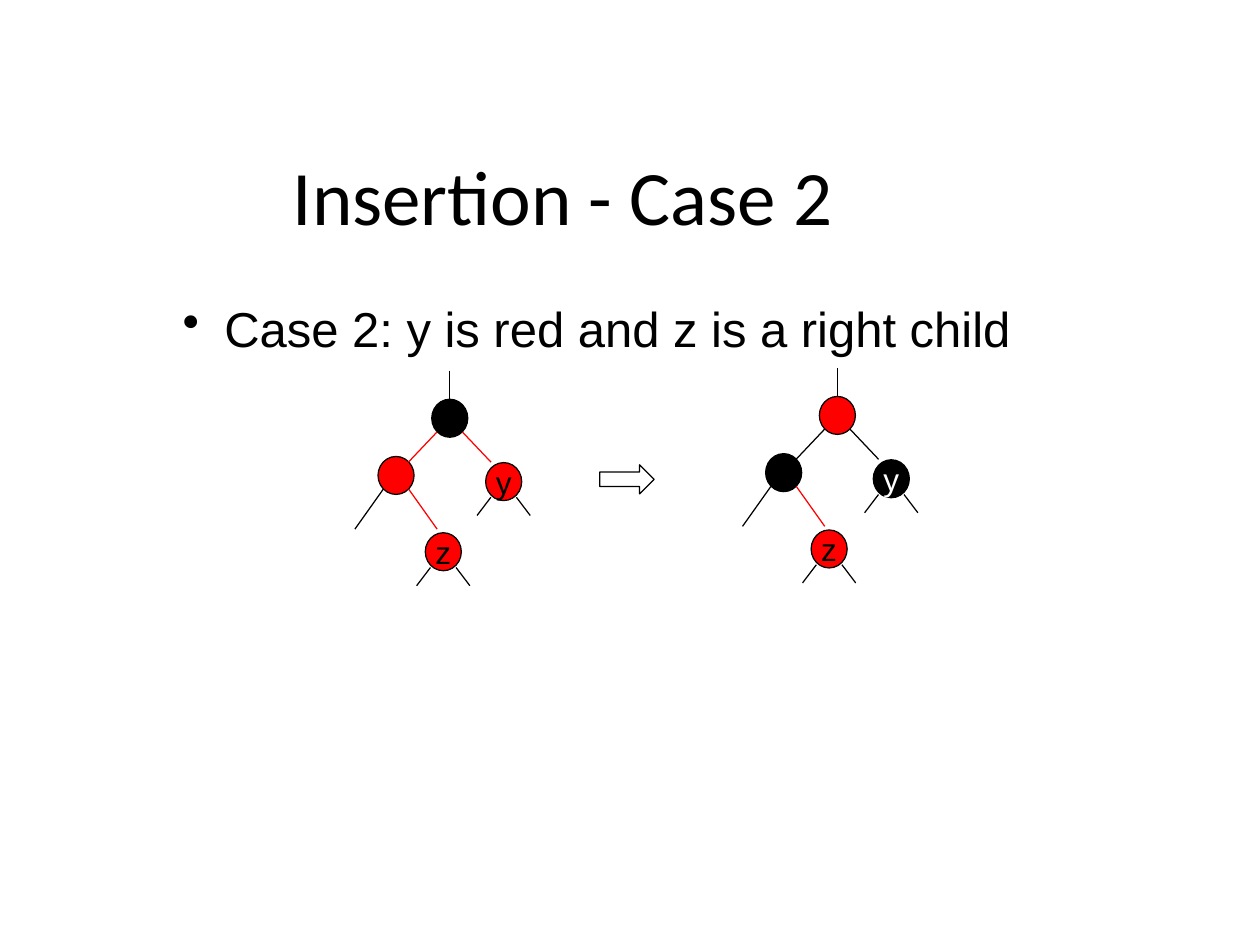
"""Build a slide on the second case of red-black tree insertion."""
from dataclasses import dataclass

from lxml.etree import SubElement
from pptx import Presentation
from pptx.dml.color import RGBColor
from pptx.enum.shapes import MSO_CONNECTOR as Connector, MSO_SHAPE as Shape
from pptx.enum.text import MSO_ANCHOR as Anchor, PP_ALIGN as Align
from pptx.oxml.ns import qn
from pptx.util import Pt


@dataclass(frozen=True)
class Theme:
    """Hold the colours, fonts and sizes of the slide."""
    black: RGBColor = RGBColor(0, 0, 0)
    red: RGBColor = RGBColor(255, 0, 0)
    white: RGBColor = RGBColor(255, 255, 255)
    title_font: str = "Calibri"
    body_font: str = "Arial"
    title_size: float = 44
    body_size: float = 28
    node_size: float = 18
    line_width: float = 0.71


THEME = Theme()
NODE_WIDTH, NODE_HEIGHT = 20.6, 21.7
PORT = 7.3


def style_text(paragraph, font, size, color):
    """Set the font of a whole paragraph."""
    paragraph.font.name = font
    paragraph.font.size = Pt(size)
    paragraph.font.color.rgb = color


def set_line(line, color):
    """Give an outline or edge its colour and the common width."""
    line.color.rgb = color
    line.width = Pt(THEME.line_width)


def add_text(page, text, left, top, width, height, inset=1):
    """Add a wrapped text box and return its frame."""
    box = page.shapes.add_textbox(Pt(left), Pt(top), Pt(width), Pt(height))
    frame = box.text_frame
    frame.word_wrap = True
    frame.margin_left = frame.margin_right = frame.margin_bottom = 0
    frame.margin_top = Pt(inset)
    frame.text = text
    return frame


def add_title(page, text):
    """Add the centred heading."""
    frame = add_text(page, text, 134.6, 83.5, 374.4, 54)
    frame.vertical_anchor = Anchor.MIDDLE
    para = frame.paragraphs[0]
    para.alignment = Align.CENTER
    style_text(para, THEME.title_font, THEME.title_size, THEME.black)


def add_bullet(page, text):
    """Add the bulleted statement with a hanging indent."""
    para = add_text(page, text, 103.7, 168.5, 526.3, 34.6, 2).paragraphs[0]
    properties = para._p.get_or_add_pPr()
    properties.set("marL", str(Pt(24.5)))
    properties.set("indent", str(Pt(-23.8)))
    SubElement(properties, qn("a:buChar")).set("char", "•")
    style_text(para, THEME.body_font, THEME.body_size, THEME.black)


def add_node(page, center, fill, label="", ink=THEME.black):
    """Add a tree node centred on a point, with an optional label."""
    x, y = center
    node = page.shapes.add_shape(
        Shape.OVAL, Pt(x - NODE_WIDTH / 2), Pt(y - NODE_HEIGHT / 2),
        Pt(NODE_WIDTH), Pt(NODE_HEIGHT))
    node.shadow.inherit = False
    node.fill.solid()
    node.fill.fore_color.rgb = fill
    set_line(node.line, THEME.black)
    if label:
        frame = node.text_frame
        frame.word_wrap = False
        frame.margin_left = frame.margin_right = 0
        frame.margin_top = frame.margin_bottom = 0
        frame.vertical_anchor = Anchor.MIDDLE
        frame.text = label
        para = frame.paragraphs[0]
        para.alignment = Align.CENTER
        style_text(para, THEME.body_font, THEME.node_size, ink)


def add_edge(page, start, end, color=THEME.black):
    """Add a straight tree edge between two points."""
    edge = page.shapes.add_connector(
        Connector.STRAIGHT, *(Pt(value) for value in (*start, *end)))
    set_line(edge.line, color)
    SubElement(edge._element.spPr, qn("a:effectLst"))


def add_branch(page, center, side, run, fall, color=THEME.black, drop=7.9):
    """Add an edge leaving a node downwards, left (-1) or right (1)."""
    x, y = center[0] + side * PORT, center[1] + drop
    add_edge(page, (x, y), (x + side * run, y + fall), color)


def add_tree(page, root, root_fill, child_fill, y_fill, y_ink, edge_color, z_shift):
    """Add one state of the tree, placed by its root centre."""
    x, y = root
    child = (x - 30.7, y + 32.7)
    uncle = (x + 30.8, y + 36.2)
    grandchild = (x + z_shift, y + 76.3)
    add_node(page, root, root_fill)
    add_node(page, child, child_fill)
    add_node(page, grandchild, THEME.red, "z")
    add_node(page, uncle, y_fill, "y", y_ink)
    add_edge(page, (x, y - 27.2), (x, y - NODE_HEIGHT / 2))
    for side in (-1, 1):
        add_branch(page, root, side, 16.3, 17.2, edge_color)
        add_branch(page, child, side, 16.2, 22.8, THEME.black if side < 0 else THEME.red)
        for leaf in (grandchild, uncle):
            add_branch(page, leaf, side, 7.9, 10.4, drop=9)


def add_arrow(page):
    """Add the hollow arrow between the two states."""
    arrow = page.shapes.add_shape(
        Shape.RIGHT_ARROW, Pt(342.8), Pt(265.6), Pt(31), Pt(16.6))
    arrow.shadow.inherit = False
    arrow.fill.background()
    set_line(arrow.line, THEME.black)


def main():
    """Build and save the deck."""
    deck = Presentation()
    deck.slide_width, deck.slide_height = Pt(720), Pt(540)
    page = deck.slides.add_slide(deck.slide_layouts[6])
    add_title(page, "Insertion - Case 2")
    add_bullet(page, "Case 2: y is red and z is a right child")
    add_tree(page, (257, 239), THEME.black, THEME.red, THEME.red,
             THEME.black, THEME.red, -3.7)
    add_arrow(page)
    add_tree(page, (478.5, 237.4), THEME.red, THEME.black, THEME.black,
             THEME.white, THEME.black, -4.7)
    deck.save("out.pptx")


if __name__ == "__main__":
    main()
